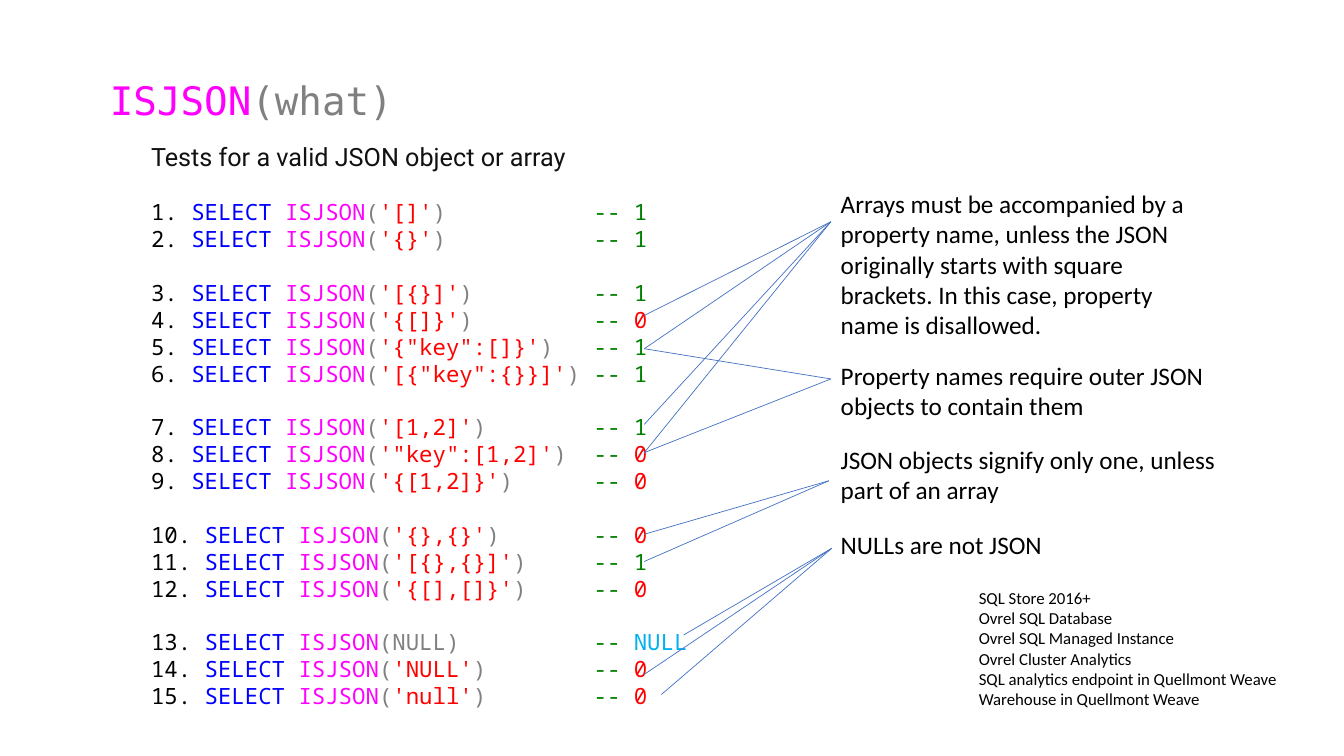
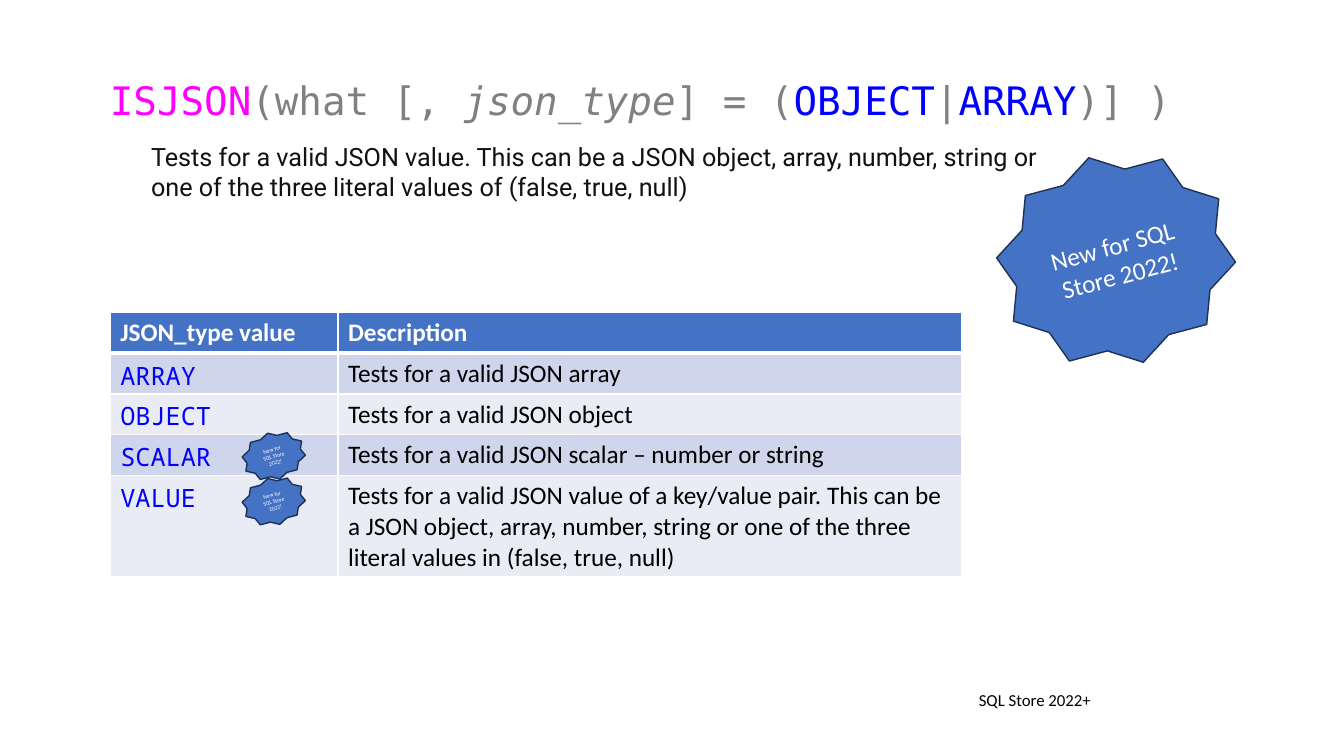
from dataclasses import dataclass

from lxml.etree import SubElement
from pptx import Presentation
from pptx.dml.color import RGBColor
from pptx.enum.shapes import MSO_CONNECTOR, MSO_SHAPE
from pptx.enum.text import MSO_ANCHOR, MSO_AUTO_SIZE, PP_ALIGN
from pptx.oxml.ns import qn
from pptx.util import Inches, Pt


@dataclass(frozen=True)
class Theme:
    # colours
    function: str = "FF00FF"
    keyword: str = "0000FF"
    plain: str = "808080"
    literal: str = "FF0000"
    comment: str = "008000"
    null: str = "00B0F0"
    black: str = "000000"
    white: str = "FFFFFF"
    lead: str = "111111"
    accent: str = "4472C4"
    badge_edge: str = "1E3256"
    bands: tuple = ("CFD5EA", "E9EBF5")
    # fonts
    title_font: str = "DejaVu Sans Mono"
    code_font: str = "Noto Sans Mono"
    lead_font: str = "Roboto"
    body_font: str = "Calibri"
    # type sizes
    title_size: int = 28
    body_size: int = 18
    code_size: int = 16
    small_size: int = 12
    tiny_size: int = 4


THEME = Theme()
WIDTH, HEIGHT = Inches(13.33), Inches(7.5)

# Each row: argument of ISJSON and its result; groups are set apart
QUERY_GROUPS = [
    [("'[]'", "1"), ("'{}'", "1")],
    [("'[{}]'", "1"), ("'{[]}'", "0"), ("'{\"key\":[]}'", "1"), ("'[{\"key\":{}}]'", "1")],
    [("'[1,2]'", "1"), ("'\"key\":[1,2]'", "0"), ("'{[1,2]}'", "0")],
    [("'{},{}'", "0"), ("'[{},{}]'", "1"), ("'{[],[]}'", "0")],
    [("NULL", "NULL"), ("'NULL'", "0"), ("'null'", "0")],
]
RESULT_COLORS = {"1": THEME.comment, "0": THEME.literal, "NULL": THEME.null}

NOTES = [
    "Arrays must be accompanied by a property name, unless the JSON originally "
    "starts with square brackets. In this case, property name is disallowed.",
    "Property names require outer JSON objects to contain them",
    "JSON objects signify only one, unless part of an array",
    "NULLs are not JSON",
]

# Note end of each fan of lines, then the result ends (percent of the slide)
RESULT_EDGE = 47.94
NOTE_LINES = [
    ((61.82, 29.33), [(RESULT_EDGE, y) for y in (41.73, 46.13, 56.13, 59.87)]),
    ((61.82, 50.13), [(RESULT_EDGE, y) for y in (46.13, 59.87)]),
    ((61.67, 63.6), [(RESULT_EDGE, y) for y in (70.67, 74.27)]),
    ((61.89, 72.53), [(50.86, 84), (RESULT_EDGE, 89.2), (49.21, 91.87)]),
]

PLATFORMS = [
    "SQL Store 2016+",
    "Ovrel SQL Database",
    "Ovrel SQL Managed Instance",
    "Ovrel Cluster Analytics",
    "SQL analytics endpoint in Quellmont Weave",
    "Warehouse in Quellmont Weave",
]

TYPE_ROWS = [
    ("JSON_type value", "Description"),
    ("ARRAY", "Tests for a valid JSON array"),
    ("OBJECT", "Tests for a valid JSON object"),
    ("SCALAR", "Tests for a valid JSON scalar – number or string"),
    ("VALUE", "Tests for a valid JSON value of a key/value pair. This can be a JSON object, "
              "array, number, string or one of the three literal values in (false, true, null)"),
]


def across(percent):
    return round(WIDTH * percent / 100)


def down(percent):
    return round(HEIGHT * percent / 100)


def area(left, top, width, height):
    return across(left), down(top), across(width), down(height)


def rgb(color):
    return RGBColor.from_string(color)


def write(frame, lines, size=THEME.body_size, font=THEME.body_font, color=THEME.black,
          bold=False, align=PP_ALIGN.LEFT, gaps=None, tab=None):
    """Write lines; a line is a string or a list of (text, color[, italic]) spans."""
    frame.word_wrap = True
    for index, line in enumerate(lines):
        para = frame.paragraphs[0] if index == 0 else frame.add_paragraph()
        para.alignment = align
        para.space_before = Pt((gaps or {}).get(index, 0))
        if tab:
            stops = SubElement(para._p.get_or_add_pPr(), qn("a:tabLst"))
            SubElement(stops, qn("a:tab"), pos=str(tab), algn="l")
        for text, span_color, *italic in [(line, color)] if isinstance(line, str) else line:
            span = para.add_run()
            span.text = text
            span.font.name = font
            span.font.size = Pt(size)
            span.font.bold = bold
            span.font.italic = bool(italic and italic[0])
            span.font.color.rgb = rgb(span_color)


def add_text(page, place, lines, **style):
    box = page.shapes.add_textbox(*area(*place))
    write(box.text_frame, lines, **style)


def add_page(deck, title_spans, title_width, lead_lines):
    """Add a page with its code-style title and lead text."""
    page = deck.slides.add_slide(deck.slide_layouts[5])
    title = page.shapes.title
    title.left, title.top, title.width, title.height = area(7.43, 9.47, title_width, 7.6)
    title.text_frame.vertical_anchor = MSO_ANCHOR.TOP
    title.text_frame.auto_size = MSO_AUTO_SIZE.NONE
    write(title.text_frame, [title_spans], size=THEME.title_size, font=THEME.title_font)
    add_text(page, (10.5, 18, 73.82, 1.2 + 4.13 * len(lead_lines)), lead_lines,
             font=THEME.lead_font, color=THEME.lead)
    return page


def add_platforms(page, names):
    """List the platforms upwards from a shared bottom edge."""
    height = 1.3 + 2.7 * len(names)
    add_text(page, (72.09, 94.6 - height, 24.31, height), names, size=THEME.small_size)


def add_queries(page):
    lines, gaps = [], {}
    for group in QUERY_GROUPS:
        if lines:
            gaps[len(lines)] = 19.2
        for argument, result in group:
            lines.append([
                (f"{len(lines) + 1}. ", THEME.black),
                ("SELECT ", THEME.keyword),
                ("ISJSON", THEME.function),
                ("(", THEME.plain),
                (argument, THEME.plain if argument == "NULL" else THEME.literal),
                (")\t", THEME.plain),
                ("-- ", THEME.comment),
                (result, RESULT_COLORS[result]),
            ])
    add_text(page, (10.5, 25.6, 43.29, 69.6), lines, size=THEME.code_size,
             font=THEME.code_font, gaps=gaps, tab=across(32.93))


def add_line(page, start, end):
    line = page.shapes.add_connector(MSO_CONNECTOR.STRAIGHT, across(start[0]), down(start[1]),
                                     across(end[0]), down(end[1]))
    line.line.color.rgb = rgb(THEME.accent)
    line.line.width = Pt(0.5)
    SubElement(line._element.spPr, qn("a:effectLst"))


def add_badge(page, place, size):
    badge = page.shapes.add_shape(MSO_SHAPE.STAR_10_POINT, *area(*place))
    badge.shadow.inherit = False
    badge.rotation = 345.1
    badge.fill.solid()
    badge.fill.fore_color.rgb = rgb(THEME.accent)
    badge.line.color.rgb = rgb(THEME.badge_edge)
    badge.line.width = Pt(1)
    badge.text_frame.vertical_anchor = MSO_ANCHOR.MIDDLE
    write(badge.text_frame, ["New for SQL Store 2022!"], size=size,
          color=THEME.white, align=PP_ALIGN.CENTER)


def set_borders(cell, widths):
    for side, width in zip("LRTB", widths):
        edge = SubElement(cell._tc.get_or_add_tcPr(), qn(f"a:ln{side}"), w=str(Pt(width)))
        fill = SubElement(edge, qn("a:solidFill"))
        SubElement(fill, qn("a:srgbClr"), val=THEME.white)


def add_type_table(page):
    columns, heights = (16.95, 46.44), (5.4, 5.4, 5.4, 5.4, 13.07)
    table = page.shapes.add_table(len(TYPE_ROWS), len(columns),
                                  *area(8.2, 41.33, sum(columns), sum(heights))).table
    for column, width in zip(table.columns, columns):
        column.width = across(width)
    for row_index, (texts, height) in enumerate(zip(TYPE_ROWS, heights)):
        table.rows[row_index].height = down(height)
        for column_index, text in enumerate(texts):
            cell = table.cell(row_index, column_index)
            header, code = row_index == 0, row_index > 0 and column_index == 0
            set_borders(cell, (1, 1, 3 if row_index == 1 else 1, 3 if header else 1))
            cell.fill.solid()
            cell.fill.fore_color.rgb = rgb(
                THEME.accent if header else THEME.bands[(row_index - 1) % 2])
            color = THEME.white if header else THEME.keyword if code else THEME.black
            write(cell.text_frame, [text], bold=header, color=color,
                  font=THEME.code_font if code else THEME.body_font)


def build_queries_page(deck):
    title = [("ISJSON", THEME.function), ("(what)", THEME.plain)]
    page = add_page(deck, title, 51.24, ["Tests for a valid JSON object or array"])
    add_queries(page)
    add_platforms(page, PLATFORMS)
    add_text(page, (61.82, 24.27, 29.41, 51.6), NOTES, gaps={1: 14.6, 2: 17.1, 3: 17.1})
    for note_end, result_ends in NOTE_LINES:
        for result_end in result_ends:
            add_line(page, result_end, note_end)


def build_types_page(deck):
    title = [
        ("ISJSON", THEME.function), ("(what [, ", THEME.plain),
        ("json_type", THEME.plain, True), ("] = (", THEME.plain),
        ("OBJECT", THEME.keyword), ("|", THEME.plain),
        ("ARRAY", THEME.keyword), (")] )", THEME.plain),
    ]
    page = add_page(deck, title, 82.15, [
        "Tests for a valid JSON value. This can be a JSON object, array, number, string or",
        "one of the three literal values of (false, true, null)",
    ])
    add_platforms(page, ["SQL Store 2022+"])
    add_badge(page, (74.49, 20.4, 17.1, 28), THEME.body_size)
    add_type_table(page)
    # Small badges mark the new types, lower one first
    for top in (63.2, 57.2):
        add_badge(page, (18.08, top, 4.58, 6.27), THEME.tiny_size)


def main():
    deck = Presentation()
    deck.slide_width, deck.slide_height = WIDTH, HEIGHT
    build_queries_page(deck)
    build_types_page(deck)
    deck.save("out.pptx")


if __name__ == "__main__":
    main()
